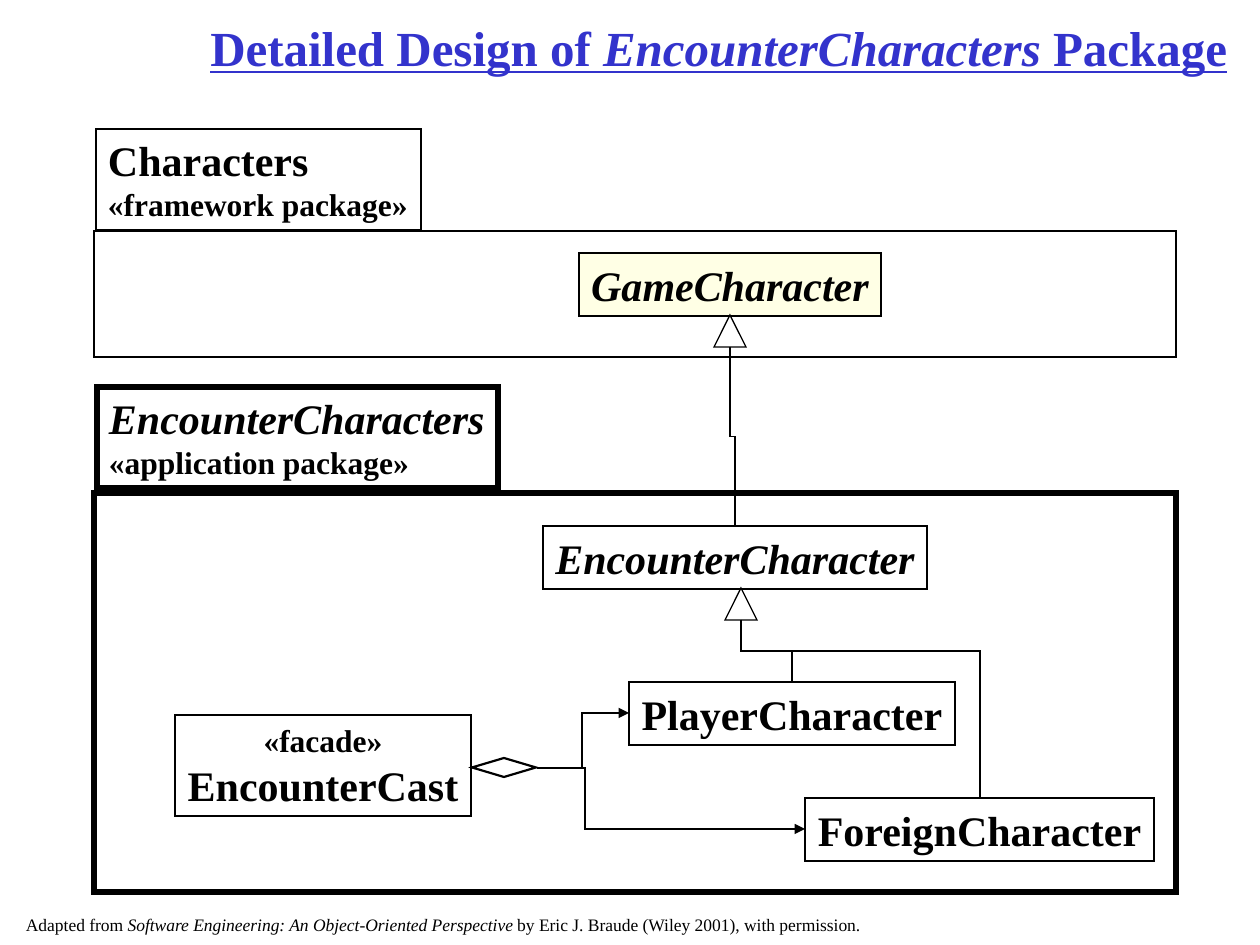
from lxml import etree
from pptx import Presentation
from pptx.dml.color import RGBColor
from pptx.enum.shapes import MSO_CONNECTOR, MSO_SHAPE
from pptx.enum.text import MSO_ANCHOR, PP_ALIGN
from pptx.oxml.ns import qn
from pptx.util import Emu, Pt

RECTANGLE, DIAMOND = MSO_SHAPE.RECTANGLE, MSO_SHAPE.DIAMOND
TRIANGLE = MSO_SHAPE.ISOSCELES_TRIANGLE
ELBOW = MSO_CONNECTOR.ELBOW
LEFT, CENTER, RIGHT = PP_ALIGN.LEFT, PP_ALIGN.CENTER, PP_ALIGN.RIGHT
TOP, MIDDLE = MSO_ANCHOR.TOP, MSO_ANCHOR.MIDDLE

BLACK = RGBColor(0x00, 0x00, 0x00)
WHITE = RGBColor(0xFF, 0xFF, 0xFF)
BLUE = RGBColor(0x33, 0x33, 0xCC)
CREAM = RGBColor(0xFF, 0xFF, 0xE5)

FONT = "Times New Roman"
PX_PER_INCH = 126
THIN, MEDIUM, THICK = 0.75, 1.25, 3
NAME_SIZE, NOTE_SIZE = 24, 18


def px(length):
    return Emu(round(length * 914400 / PX_PER_INCH))


def write_text(frame, paragraphs, align, anchor, color=BLACK, bold=True,
               underline=None, margin_y=6, wrap=False):
    """Each paragraph is a list of (text, size, italic) runs."""
    frame.word_wrap = wrap
    frame.vertical_anchor = anchor
    frame.margin_left = frame.margin_right = px(12)
    frame.margin_top = frame.margin_bottom = px(margin_y)
    for index, spans in enumerate(paragraphs):
        para = frame.add_paragraph() if index else frame.paragraphs[0]
        para.alignment = align
        for text, size, italic in spans:
            span = para.add_run()
            span.text = text
            font = span.font
            font.name, font.size, font.color.rgb = FONT, Pt(size), color
            font.bold, font.italic, font.underline = bold, italic, underline


def set_line(shape, width):
    """Black line with sharp corners."""
    shape.line.color.rgb = BLACK
    shape.line.width = Pt(width)
    stroke = shape._element.spPr.find(qn("a:ln"))
    etree.SubElement(stroke, qn("a:miter"), lim="800000")
    return stroke


def add_outline(page, kind, box, fill=None, width=THIN):
    shape = page.shapes.add_shape(kind, *map(px, box))
    shape.shadow.inherit = False
    if fill is None:
        shape.fill.background()
    else:
        shape.fill.solid()
        shape.fill.fore_color.rgb = fill
    set_line(shape, width)
    return shape


def add_class(page, box, paragraphs, fill=WHITE, width=THIN):
    shape = add_outline(page, RECTANGLE, box, fill, width)
    write_text(shape.text_frame, paragraphs, CENTER, MIDDLE)


def add_elbow(page, start, end, bend, vertical=False, width=THIN, arrow=False):
    """Bent line; a vertical one is the horizontal one turned by 270 degrees."""
    (x1, y1), (x2, y2) = start, end
    if vertical:
        mid_x, mid_y = (x1 + x2) / 2, (y1 + y2) / 2
        half_w, half_h = (y2 - y1) / 2, (x2 - x1) / 2
        x1, x2 = mid_x + half_w, mid_x - half_w
        y1, y2 = mid_y - half_h, mid_y + half_h
    line = page.shapes.add_connector(ELBOW, px(x1), px(y1), px(x2), px(y2))
    stroke = set_line(line, width)
    properties = line._element.spPr
    if vertical:
        properties.find(qn("a:xfrm")).set("rot", str(270 * 60000))
    guides = properties.find(qn("a:prstGeom")).find(qn("a:avLst"))
    etree.SubElement(guides, qn("a:gd"), name="adj1",
                     fmla=f"val {round(bend * 100000)}")
    if arrow:
        etree.SubElement(stroke, qn("a:tailEnd"), type="triangle")
    etree.SubElement(properties, qn("a:effectLst"))


def add_title(page, box):
    title = page.shapes.add_textbox(*map(px, box))
    spans = [("Detailed Design of", 28, False),
             (" EncounterCharacters", 28, True),
             (" Package", 28, False)]
    write_text(title.text_frame, [spans], RIGHT, MIDDLE, BLUE,
               underline=True, wrap=True)


def add_package(page, tab, body, name, note, italic, fill, width):
    """UML package: a name tab standing on a body."""
    add_outline(page, RECTANGLE, body, width=width)
    label = add_outline(page, RECTANGLE, tab, fill, width)
    write_text(label.text_frame,
               [[(name, NAME_SIZE, italic)], [(note, NOTE_SIZE, False)]],
               LEFT, TOP)


def add_framework_package(page, box):
    left, top, width, height = box
    add_package(page, (left + 2, top, 325, 101),
                (left, top + 102, width, height - 102),
                "Characters", "«framework package»", False, None, THIN)
    add_class(page, (left + 485, top + 124, 302, 63),
              [[("GameCharacter", NAME_SIZE, True)]], CREAM, MEDIUM)
    add_outline(page, TRIANGLE, (left + 620, top + 186, 32, 32), WHITE)


def add_application_package(page, box):
    left, top, width, height = box
    add_package(page, (left + 3, top, 401, 101),
                (left, top + 106, width, height - 106),
                "EncounterCharacters", "«application package»", True, WHITE,
                THICK)

    # Classes
    for x, y, class_width, name, italic in (
            (449, 139, 384, "EncounterCharacter", True),
            (535, 295, 326, "PlayerCharacter", False),
            (711, 411, 349, "ForeignCharacter", False)):
        add_class(page, (left + x, top + y, class_width, 63),
                  [[(name, NAME_SIZE, italic)]])
    add_class(page, (left + 81, top + 328, 296, 101),
              [[("«facade»", NOTE_SIZE, False)],
               [("EncounterCast", NAME_SIZE, False)]], width=MEDIUM)

    # Inheritance
    add_outline(page, TRIANGLE, (left + 631, top + 201, 32, 32), WHITE)
    parent = (left + 647, top + 233)
    for x, y, bend in ((698, 295, 0.5), (886, 411, 0.174)):
        add_elbow(page, parent, (left + x, top + y), bend, vertical=True)

    # Aggregation
    add_outline(page, DIAMOND, (left + 378, top + 371, 64, 19), WHITE, MEDIUM)
    whole = (left + 443, top + 381)
    for x, y, bend in ((535, 326, 0.49), (711, 442, 0.18)):
        add_elbow(page, whole, (left + x, top + y), bend,
                  width=MEDIUM, arrow=True)


def add_credit(page, box):
    credit = page.shapes.add_textbox(*map(px, box))
    credit.fill.solid()
    credit.fill.fore_color.rgb = WHITE
    spans = [
        ("Adapted from ", 10, False),
        ("Software Engineering: An Object-Oriented Perspective ", 10, True),
        ("by Eric J. Braude (Wiley 2001), with permission.", 10, False)]
    write_text(credit.text_frame, [spans], LEFT, TOP, bold=False, margin_y=0)


def main():
    deck = Presentation()
    deck.slide_width, deck.slide_height = px(1260), px(945)
    page = deck.slides.add_slide(deck.slide_layouts[6])
    add_title(page, (21, 0, 1218, 94))
    add_framework_package(page, (94, 129, 1082, 228))
    add_application_package(page, (94, 387, 1082, 505))
    # EncounterCharacter inherits from GameCharacter
    add_elbow(page, (730, 347), (735, 526), 0.5, vertical=True)
    add_credit(page, (14, 914, 880, 21))
    deck.save("out.pptx")


if __name__ == "__main__":
    main()
